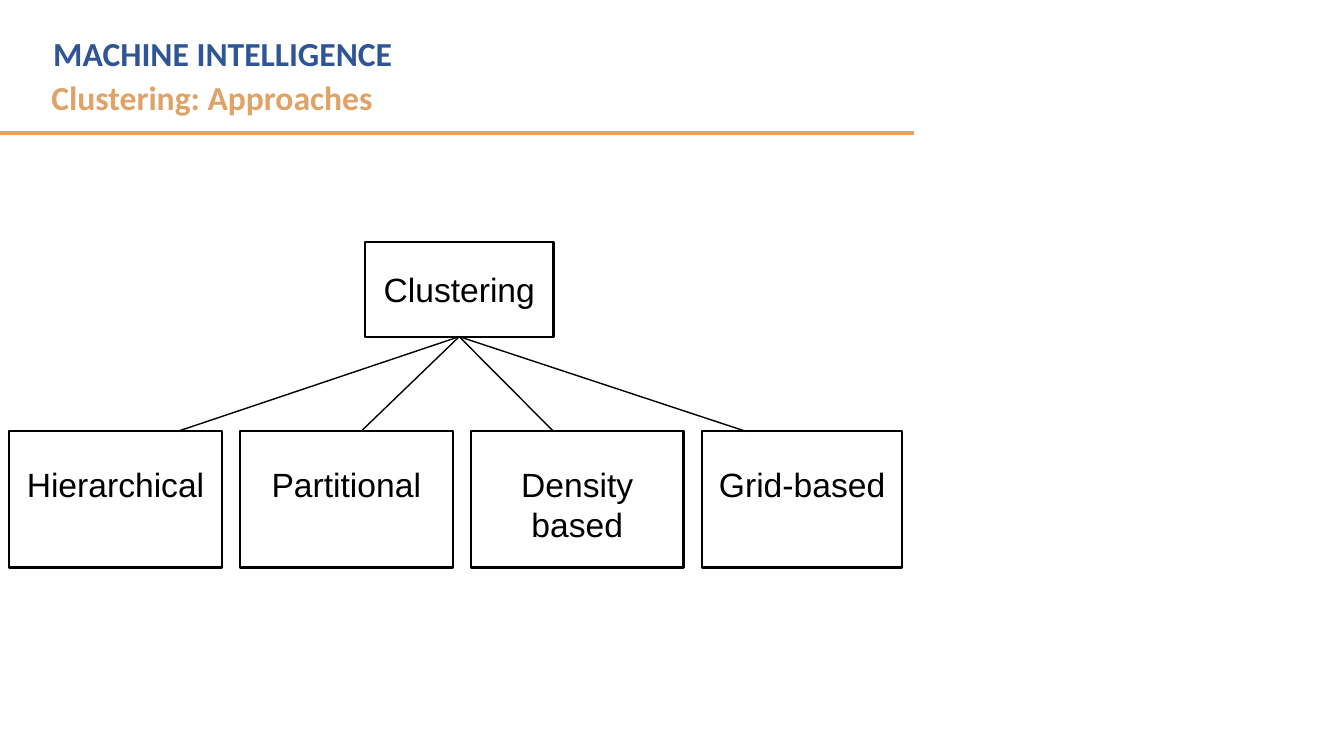
from dataclasses import dataclass

from lxml.etree import SubElement
from pptx import Presentation
from pptx.dml.color import RGBColor
from pptx.enum.shapes import MSO_CONNECTOR, MSO_SHAPE
from pptx.enum.text import MSO_ANCHOR, MSO_AUTO_SIZE, PP_ALIGN
from pptx.oxml.ns import qn
from pptx.util import Inches, Pt


@dataclass(frozen=True)
class Theme:
    blue: RGBColor = RGBColor(0x2F, 0x55, 0x97)
    orange: RGBColor = RGBColor(0xDF, 0xA2, 0x67)
    black: RGBColor = RGBColor(0, 0, 0)
    heading_font: str = "Calibri"
    body_font: str = "Arial"
    text_size: Pt = Pt(24)
    rule_width: Pt = Pt(3)
    box_width: Pt = Pt(1.5)
    branch_width: Pt = Pt(1)


THEME = Theme()

# Tree: label and the point where its branch lands on the box
LEAVES = [
    ("Hierarchical", 1.76),
    ("Partitional", 3.58),
    ("Density\nbased", 5.49),
    ("Grid-based", 7.4),
]
LEAF_LEFT, LEAF_TOP, LEAF_PITCH = 0.09, 4.28, 2.29
LEAF_WIDTH, LAST_LEAF_WIDTH, LEAF_HEIGHT = 2.11, 1.99, 1.35


def style_text(frame, font_name, color, align, bold=False):
    for para in frame.paragraphs:
        para.alignment = align
        para.font.name = font_name
        para.font.size = THEME.text_size
        para.font.bold = bold
        para.font.color.rgb = color


def format_heading(box, text, left, top, width, color):
    box.left, box.top = Inches(left), Inches(top)
    box.width, box.height = Inches(width), Inches(0.5)
    frame = box.text_frame
    frame.text = text
    frame.word_wrap = True
    frame.auto_size = MSO_AUTO_SIZE.NONE
    frame.vertical_anchor = MSO_ANCHOR.TOP
    style_text(frame, THEME.heading_font, color, PP_ALIGN.LEFT, bold=True)


def add_box(page, text, left, top, width, height, anchor):
    box = page.shapes.add_shape(MSO_SHAPE.RECTANGLE, Inches(left), Inches(top),
                                Inches(width), Inches(height))
    box.shadow.inherit = False
    box.fill.background()
    box.line.color.rgb = THEME.black
    box.line.width = THEME.box_width
    frame = box.text_frame
    frame.text = text
    frame.word_wrap = False
    frame.vertical_anchor = anchor
    if anchor == MSO_ANCHOR.TOP:
        frame.margin_top = Inches(0.32)
    style_text(frame, THEME.body_font, THEME.black, PP_ALIGN.CENTER)
    return box


def add_line(page, start, end, color, width):
    line = page.shapes.add_connector(MSO_CONNECTOR.STRAIGHT,
                                     *map(Inches, start), *map(Inches, end))
    line.line.color.rgb = color
    line.line.width = width
    SubElement(line._element.spPr, qn("a:effectLst"))
    return line


def main():
    deck = Presentation()
    deck.slide_width, deck.slide_height = Inches(13.33), Inches(7.5)
    page = deck.slides.add_slide(deck.slide_layouts[5])

    # Header
    add_line(page, (0, 1.32), (9.07, 1.32), THEME.orange, THEME.rule_width)
    format_heading(page.shapes.title, "Clustering: Approaches",
                   0.41, 0.71, 8.75, THEME.orange)
    course = page.shapes.add_textbox(0, 0, 0, 0)
    format_heading(course, "MACHINE INTELLIGENCE", 0.43, 0.28, 8.2, THEME.blue)

    # Root of the tree
    root = add_box(page, "Clustering", 3.62, 2.4, 1.87, 0.94, MSO_ANCHOR.MIDDLE)

    # Approaches and their branches
    for index, (label, landing) in enumerate(LEAVES):
        is_last = index == len(LEAVES) - 1
        add_box(page, label, LEAF_LEFT + index * LEAF_PITCH, LEAF_TOP,
                LAST_LEAF_WIDTH if is_last else LEAF_WIDTH, LEAF_HEIGHT,
                MSO_ANCHOR.TOP)
        branch = add_line(page, (4.55, 3.34), (landing, LEAF_TOP),
                          THEME.black, THEME.branch_width)
        branch.begin_connect(root, 2)

    deck.save("out.pptx")


if __name__ == "__main__":
    main()
